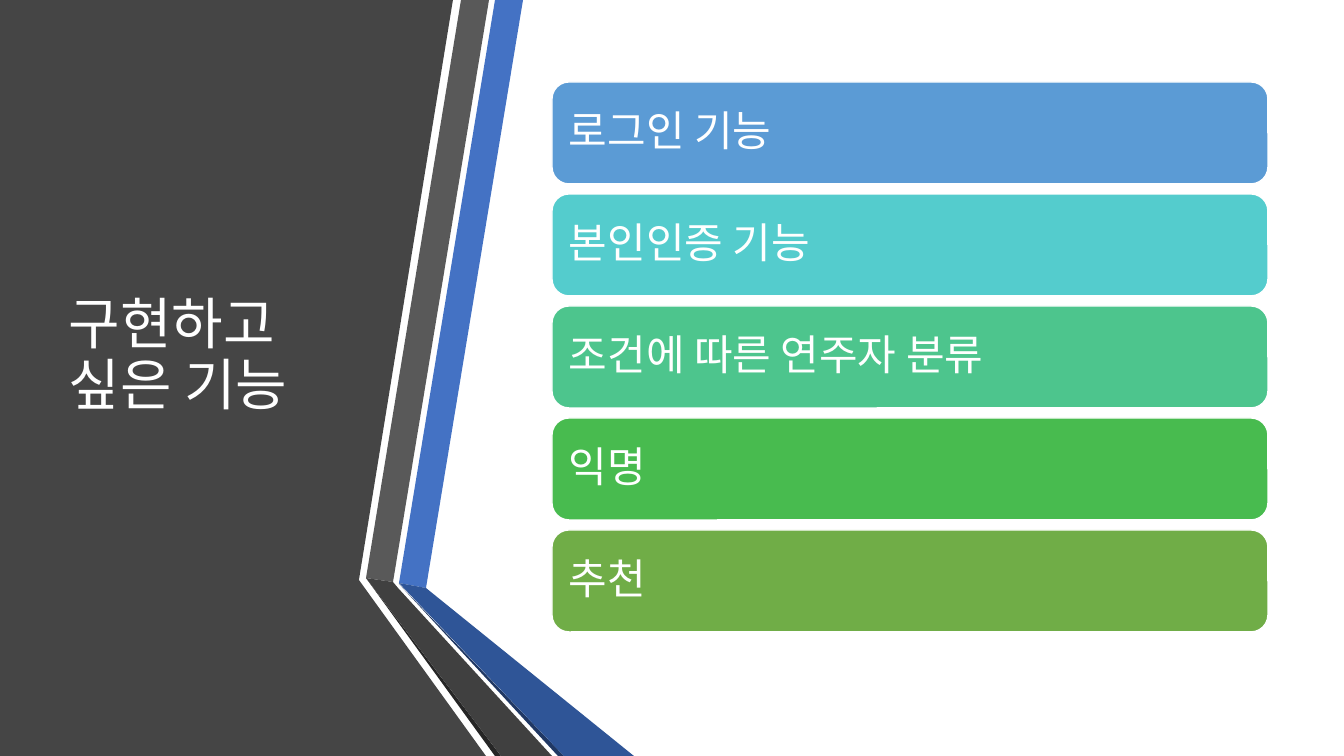
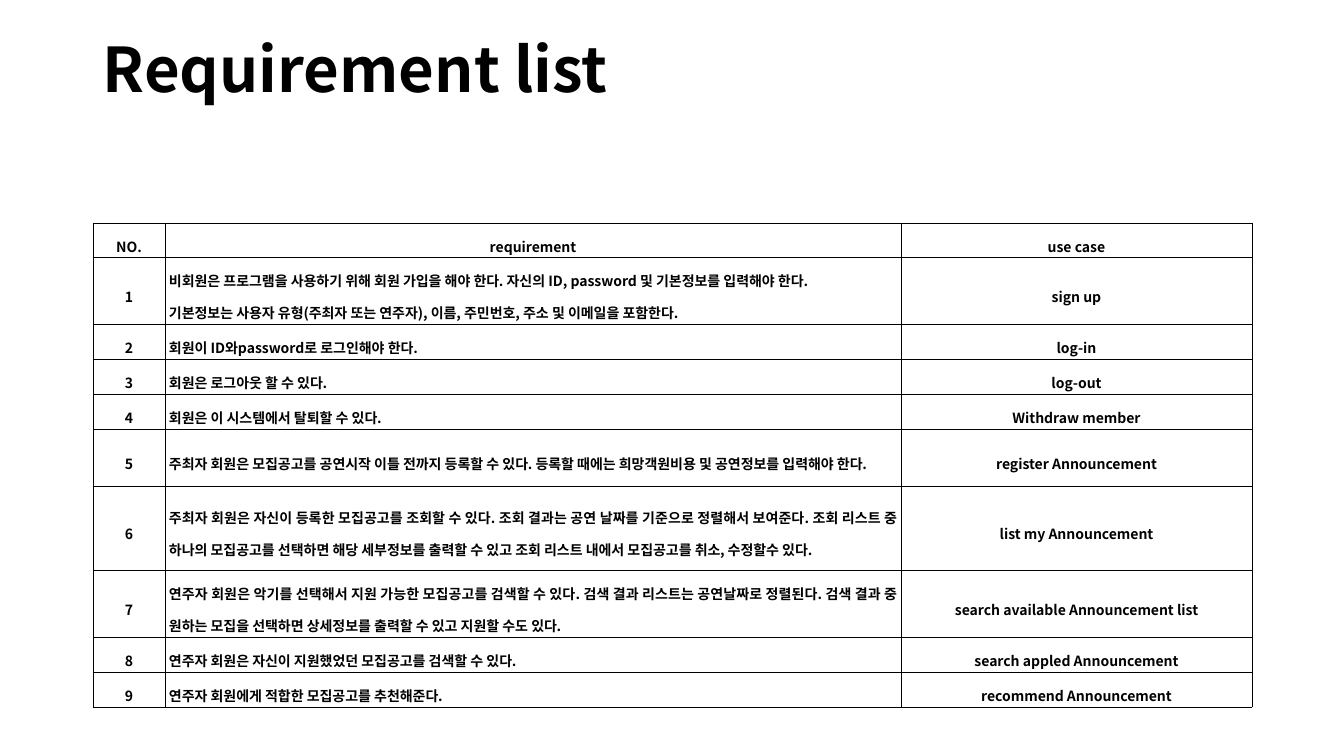
from dataclasses import dataclass

from lxml.etree import SubElement
from pptx import Presentation
from pptx.dml.color import RGBColor
from pptx.enum.shapes import MSO_SHAPE
from pptx.enum.text import MSO_ANCHOR, PP_ALIGN
from pptx.oxml.ns import qn
from pptx.slide import Slide
from pptx.table import _Cell
from pptx.text.text import TextFrame
from pptx.util import Emu, Pt

EMU_PER_PX = 914400 / 100.8
SLIDE_WIDTH, SLIDE_HEIGHT = 1344, 756
FONT = "Noto Sans CJK KR"

WHITE = RGBColor(0xFF, 0xFF, 0xFF)
BLACK = RGBColor(0x00, 0x00, 0x00)
PANEL_GREY = RGBColor(0x45, 0x45, 0x45)
BAND_GREY = RGBColor(0x59, 0x59, 0x59)
FOLD_GREY = RGBColor(0x40, 0x40, 0x40)
EDGE_GREY = RGBColor(0x26, 0x26, 0x26)
BAND_BLUE = RGBColor(0x44, 0x72, 0xC4)
FOLD_BLUE = RGBColor(0x2F, 0x55, 0x97)
EDGE_BLUE = RGBColor(0x20, 0x38, 0x64)
CARD_BLUE = RGBColor(0x5B, 0x9B, 0xD5)
CARD_TURQUOISE = RGBColor(0x54, 0xCC, 0xCD)
CARD_MINT = RGBColor(0x4D, 0xC5, 0x8D)
CARD_GREEN = RGBColor(0x48, 0xBB, 0x4F)
CARD_OLIVE = RGBColor(0x70, 0xAD, 0x47)

CARD_LEFT, CARD_TOP, CARD_WIDTH, CARD_HEIGHT = 552, 82, 716, 102
CARD_STEP = 112

TABLE_LEFT, TABLE_TOP = 93, 223
COLUMN_WIDTHS = (72, 736, 351)
HEADER_HEIGHT = 34
BORDER_WIDTH = Pt(0.28)


@dataclass(frozen=True)
class Band:
    color: RGBColor
    points: tuple[tuple[int, int], ...]


@dataclass(frozen=True)
class Feature:
    label: str
    color: RGBColor


@dataclass(frozen=True)
class Requirement:
    description: str
    use_case: str
    height: int = 35


BANDS = (
    Band(PANEL_GREY, ((0, 0), (453, 0), (359, 580), (486, 756), (0, 756))),
    Band(BAND_BLUE, ((399, 583), (426, 588), (523, 0), (495, 0))),
    Band(BAND_GREY, ((489, 0), (461, 0), (366, 578), (393, 582))),
    Band(EDGE_GREY, ((366, 578), (495, 756), (501, 756))),
    Band(EDGE_BLUE, ((399, 584), (558, 756), (564, 756))),
    Band(FOLD_BLUE, ((399, 583), (564, 756), (634, 756), (426, 588))),
    Band(FOLD_GREY, ((552, 756), (398, 588), (393, 582), (366, 578), (501, 756))),
)

FEATURES = (
    Feature("로그인 기능", CARD_BLUE),
    Feature("본인인증 기능", CARD_TURQUOISE),
    Feature("조건에 따른 연주자 분류", CARD_MINT),
    Feature("익명", CARD_GREEN),
    Feature("추천", CARD_OLIVE),
)

TABLE_HEADINGS = ("NO.", "requirement", "use case")
REQUIREMENTS = (
    Requirement(
        "비회원은 프로그램을 사용하기 위해 회원 가입을 해야 한다. "
        "자신의 ID, password 및 기본정보를 입력해야 한다.\n"
        "기본정보는 사용자 유형(주최자 또는 연주자), 이름, 주민번호, 주소 및 이메일을 포함한다.",
        "sign up", 67),
    Requirement("회원이 ID와password로 로그인해야 한다.", "log-in"),
    Requirement("회원은 로그아웃 할 수 있다.", "log-out"),
    Requirement("회원은 이 시스템에서 탈퇴할 수 있다.", "Withdraw member"),
    Requirement(
        "주최자 회원은 모집공고를 공연시작 이틀 전까지 등록할 수 있다. "
        "등록할 때에는 희망객원비용 및 공연정보를 입력해야 한다.",
        "register Announcement", 57),
    Requirement(
        "주최자 회원은 자신이 등록한 모집공고를 조회할 수 있다. "
        "조회 결과는 공연 날짜를 기준으로 정렬해서 보여준다. "
        "조회 리스트 중 하나의 모집공고를 선택하면 해당 세부정보를 출력할 수 있고 "
        "조회 리스트 내에서 모집공고를 취소, 수정할수 있다.",
        "list my Announcement", 84),
    Requirement(
        "연주자 회원은 악기를 선택해서 지원 가능한 모집공고를 검색할 수 있다. "
        "검색 결과 리스트는 공연날짜로 정렬된다. "
        "검색 결과 중 원하는 모집을 선택하면 상세정보를 출력할 수 있고 지원할 수도 있다.",
        "search available Announcement list", 67),
    Requirement("연주자 회원은 자신이 지원했었던 모집공고를 검색할 수 있다.",
                "search appled Announcement"),
    Requirement("연주자 회원에게 적합한 모집공고를 추천해준다.",
                "recommend Announcement"),
)


def px(length: int) -> Emu:
    return Emu(round(length * EMU_PER_PX))


def write_text(frame: TextFrame, text: str, *, size: int, color: RGBColor,
               bold: bool = False, align: PP_ALIGN = PP_ALIGN.LEFT,
               line_spacing: float = 0.9) -> None:
    """Fill a frame, one paragraph for each line of text."""
    frame.word_wrap = True
    for index, line in enumerate(text.split("\n")):
        paragraph = frame.add_paragraph() if index else frame.paragraphs[0]
        paragraph.alignment = align
        paragraph.line_spacing = line_spacing
        run = paragraph.add_run()
        run.text = line
        run.font.size = Pt(size)
        run.font.bold = bold
        run.font.color.rgb = color
        run.font.name = FONT
        for script in ("a:ea", "a:cs"):
            SubElement(run._r.get_or_add_rPr(), qn(script), typeface=FONT)


def add_title(slide: Slide, text: str, left: int, top: int, width: int, height: int,
              *, size: int, color: RGBColor, bold: bool = False) -> None:
    title = slide.shapes.add_textbox(px(left), px(top), px(width), px(height))
    frame = title.text_frame
    frame.vertical_anchor = MSO_ANCHOR.MIDDLE
    frame.margin_top = frame.margin_bottom = 0
    write_text(frame, text, size=size, color=color, bold=bold)


def add_band(slide: Slide, band: Band) -> None:
    start, *others = band.points
    builder = slide.shapes.build_freeform(*start, scale=EMU_PER_PX)
    builder.add_line_segments(others, close=True)
    outline = builder.convert_to_shape()
    outline.shadow.inherit = False
    outline.fill.solid()
    outline.fill.fore_color.rgb = band.color
    outline.line.fill.background()


def add_feature_card(slide: Slide, feature: Feature, top: int) -> None:
    card = slide.shapes.add_shape(MSO_SHAPE.ROUNDED_RECTANGLE, px(CARD_LEFT), px(top),
                                  px(CARD_WIDTH), px(CARD_HEIGHT))
    card.shadow.inherit = False
    card.fill.solid()
    card.fill.fore_color.rgb = feature.color
    card.line.color.rgb = WHITE
    card.line.width = Pt(1)
    frame = card.text_frame
    frame.vertical_anchor = MSO_ANCHOR.MIDDLE
    frame.margin_left = frame.margin_right = px(12)
    write_text(frame, feature.label, size=30, color=WHITE)


def add_cell_borders(cell: _Cell) -> None:
    properties = cell._tc.get_or_add_tcPr()
    for side in ("a:lnL", "a:lnR", "a:lnT", "a:lnB"):
        border = SubElement(properties, qn(side), w=str(int(BORDER_WIDTH)))
        fill = SubElement(border, qn("a:solidFill"))
        SubElement(fill, qn("a:srgbClr"), val=str(BLACK))


def fill_cell(cell: _Cell, text: str, align: PP_ALIGN) -> None:
    cell.vertical_anchor = MSO_ANCHOR.MIDDLE
    cell.margin_left = cell.margin_right = px(4)
    cell.margin_top = cell.margin_bottom = px(1)
    add_cell_borders(cell)
    cell.fill.background()
    write_text(cell.text_frame, text, size=10, color=BLACK, bold=True,
               align=align, line_spacing=1.6)


def add_requirement_table(slide: Slide) -> None:
    heights = (HEADER_HEIGHT, *(requirement.height for requirement in REQUIREMENTS))
    rows = (TABLE_HEADINGS, *(
        (str(number), requirement.description, requirement.use_case)
        for number, requirement in enumerate(REQUIREMENTS, start=1)))
    table = slide.shapes.add_table(
        len(rows), len(COLUMN_WIDTHS), px(TABLE_LEFT), px(TABLE_TOP),
        px(sum(COLUMN_WIDTHS)), px(sum(heights))).table
    table.first_row = table.horz_banding = False
    for column, width in zip(table.columns, COLUMN_WIDTHS):
        column.width = px(width)
    for row_index, (height, texts) in enumerate(zip(heights, rows)):
        table.rows[row_index].height = px(height)
        for column_index, text in enumerate(texts):
            is_description = row_index > 0 and column_index == 1
            align = PP_ALIGN.JUSTIFY if is_description else PP_ALIGN.CENTER
            fill_cell(table.cell(row_index, column_index), text, align)


def build_feature_slide(slide: Slide) -> None:
    for band in BANDS:
        add_band(slide, band)
    add_title(slide, "구현하고 싶은 기능", 59, 76, 306, 562, size=40, color=WHITE)
    for index, feature in enumerate(FEATURES):
        add_feature_card(slide, feature, CARD_TOP + index * CARD_STEP)


def build_requirement_slide(slide: Slide) -> None:
    add_title(slide, "Requirement list", TABLE_LEFT, 33, sum(COLUMN_WIDTHS), 80,
              size=44, color=BLACK, bold=True)
    add_requirement_table(slide)


def main() -> None:
    presentation = Presentation()
    presentation.slide_width = px(SLIDE_WIDTH)
    presentation.slide_height = px(SLIDE_HEIGHT)
    blank_layout = presentation.slide_layouts[6]
    for build_slide in (build_feature_slide, build_requirement_slide):
        build_slide(presentation.slides.add_slide(blank_layout))
    presentation.save("out.pptx")


if __name__ == "__main__":
    main()
